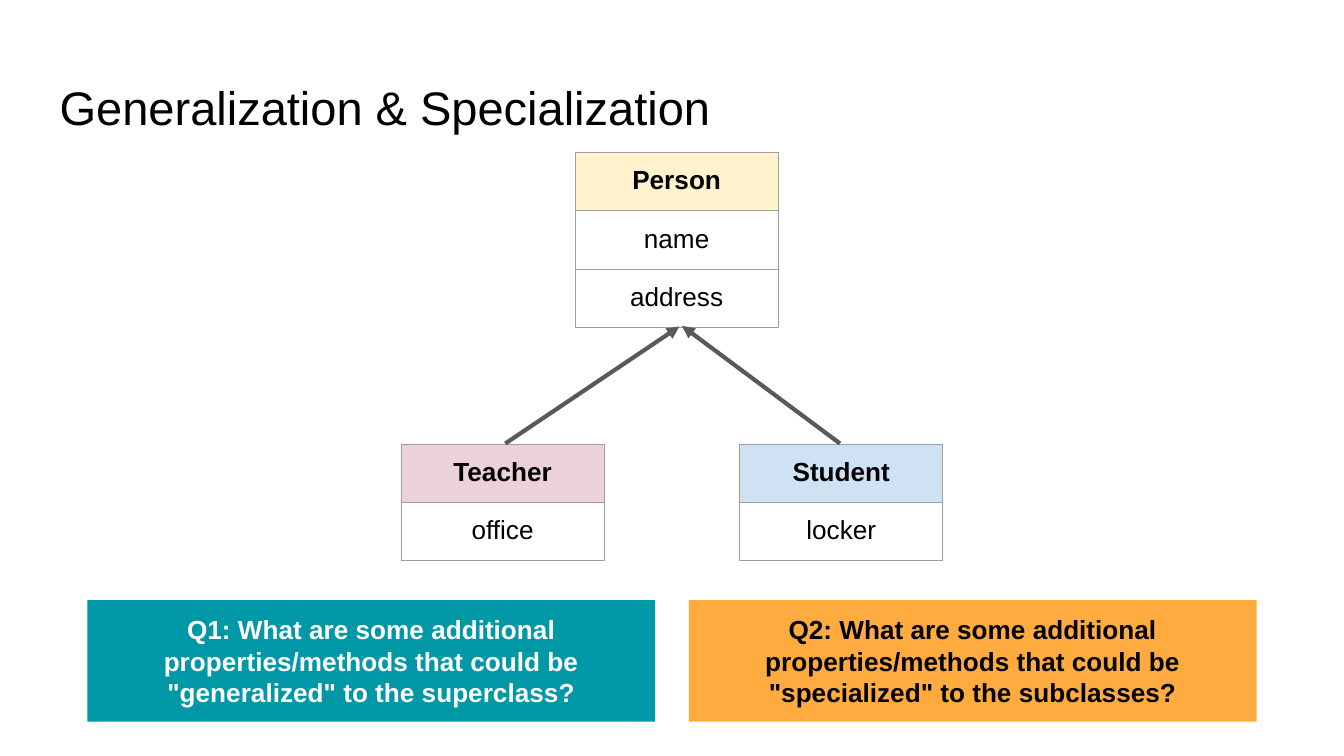
import pptx
import pptx.dml.color
import pptx.enum.shapes
import pptx.enum.text
import pptx.oxml
import pptx.oxml.ns
import pptx.util

PX = 4572
INSET = 20
COLORS = {
    "ink": "000000", "white": "FFFFFF", "border": "9E9E9E", "arrow": "595959",
    "person": "FFF2CC", "student": "CFE2F3", "teacher": "EAD1DC",
    "teal": "0097A7", "orange": "FFAB40",
}
ALIGN = pptx.enum.text.PP_ALIGN


def px(*lengths):
    return [pptx.util.Emu(length * PX) for length in lengths]


def rgb(name):
    return pptx.dml.color.RGBColor.from_string(COLORS[name])


def inset(holder):
    holder.margin_left, holder.margin_top, holder.margin_right, holder.margin_bottom = px(*[INSET] * 4)


def write(frame, text, size=14, color="ink", bold=False, align=ALIGN.CENTER):
    paragraph = frame.paragraphs[0]
    paragraph.alignment = align
    run = paragraph.add_run()
    run.text = text
    run.font.name = "Arial"
    run.font.size = pptx.util.Pt(size)
    run.font.bold = bold
    run.font.color.rgb = rgb(color)


def xml(tag, attributes="", content=""):
    namespace = pptx.oxml.ns.nsdecls("a")
    return pptx.oxml.parse_xml(f"<a:{tag} {namespace} {attributes}>{content}</a:{tag}>")


class Diagram:
    class_width = 302
    row_height = 86

    def __init__(self, slide):
        self.shapes = slide.shapes

    def title(self, text, left, top, width, height):
        heading = self.shapes.add_textbox(*px(left, top, width, height)).text_frame
        heading.word_wrap = True
        inset(heading)
        write(heading, text, size=25.2, align=ALIGN.LEFT)

    def class_table(self, left, top, fill, *rows):
        table = self.shapes.add_table(
            len(rows), 1, *px(left, top, self.class_width, self.row_height * len(rows))
        ).table
        table.first_row = table.horz_banding = False
        for index, text in enumerate(rows):
            cell = table.cell(index, 0)
            inset(cell)
            write(cell.text_frame, text, bold=index == 0)
            self.borders(cell)
            if index == 0:
                cell.fill.solid()
                cell.fill.fore_color.rgb = rgb(fill)
            else:
                cell.fill.background()

    def borders(self, cell):
        line_fill = f'<a:solidFill><a:srgbClr val="{COLORS["border"]}"/></a:solidFill>'
        for side in "LRTB":
            cell._tc.get_or_add_tcPr().append(
                xml(f"ln{side}", f'w="{pptx.util.Pt(0.75)}"', line_fill)
            )

    def arrow(self, start, end):
        inheritance = self.shapes.add_connector(
            pptx.enum.shapes.MSO_CONNECTOR.STRAIGHT, *px(*start, *end)
        )
        inheritance.line.color.rgb = rgb("arrow")
        inheritance.line.width = pptx.util.Pt(2.25)
        inheritance.line._get_or_add_ln().append(xml("tailEnd", 'type="triangle"'))
        inheritance._element.spPr.append(xml("effectLst"))

    def question(self, text, left, fill, color):
        box = self.shapes.add_shape(
            pptx.enum.shapes.MSO_SHAPE.RECTANGLE, *px(left, 893, 845, 181)
        )
        box.shadow.inherit = False
        box.fill.solid()
        box.fill.fore_color.rgb = rgb(fill)
        box.line.fill.background()
        box.text_frame.word_wrap = True
        box.text_frame.vertical_anchor = pptx.enum.text.MSO_ANCHOR.MIDDLE
        inset(box.text_frame)
        write(box.text_frame, text, color=color, bold=True)


def main():
    deck = pptx.Presentation()
    deck.slide_width, deck.slide_height = px(2000, 1125)
    diagram = Diagram(deck.slides.add_slide(deck.slide_layouts[6]))

    diagram.title("Generalization & Specialization", 69, 97, 1864, 126)
    diagram.class_table(856, 227, "person", "Person", "name", "address")
    diagram.class_table(1101, 661, "student", "Student", "locker")
    diagram.class_table(597, 661, "teacher", "Teacher", "office")
    diagram.arrow((752, 660), (1011, 486))
    diagram.arrow((1250, 660), (1015, 485))
    for label, verb, target, left, fill, color in (
        ("Q1", "generalized", "superclass", 130, "teal", "white"),
        ("Q2", "specialized", "subclasses", 1025, "orange", "ink"),
    ):
        diagram.question(
            f"{label}: What are some additional properties/methods "
            f'that could be "{verb}" to the {target}?',
            left, fill, color,
        )

    deck.save("out.pptx")


if __name__ == "__main__":
    main()
